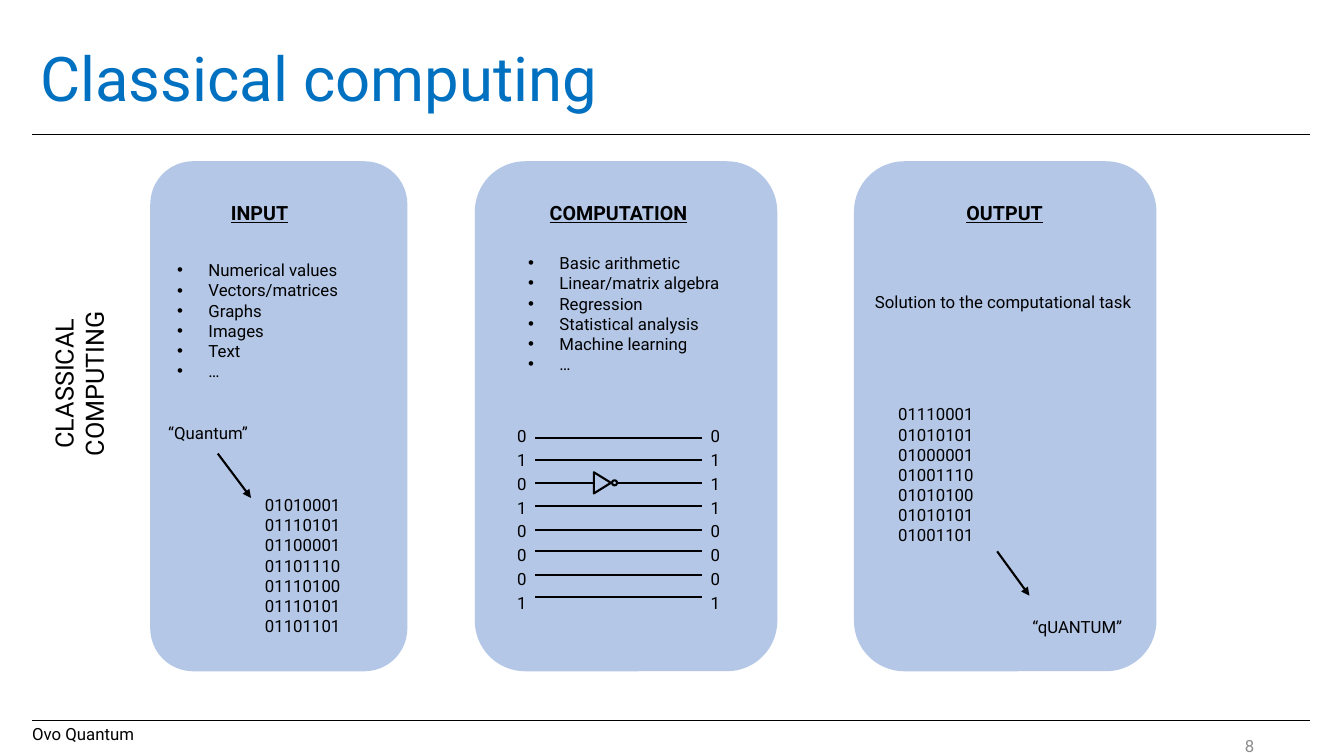
from pptx import Presentation
from pptx.dml.color import RGBColor
from pptx.enum.shapes import MSO_CONNECTOR, MSO_SHAPE
from pptx.enum.text import MSO_ANCHOR, PP_ALIGN
from pptx.oxml.ns import qn
from pptx.util import Inches, Pt
from lxml.etree import SubElement

FONT = "Roboto"
BLACK, BLUE, GREY, CARD_BLUE = "000000", "0070C0", "8C8C8C", "B4C7E7"

TITLE = "Classical computing"
FOOTER = "Ovo Quantum"
PAGE_NUMBER = "8"
SIDE_LABEL = ["CLASSICAL", "COMPUTING"]

# (heading, heading left, card left, card width)
CARDS = [
    ("INPUT", 1.66, 1.49, 2.55),
    ("COMPUTATION", 5.22, 4.71, 3),
    ("OUTPUT", 9.05, 8.47, 3),
]
INPUTS = ["Numerical values", "Vectors/matrices", "Graphs", "Images", "Text", "…"]
COMPUTATIONS = ["Basic arithmetic", "Linear/matrix algebra", "Regression",
                "Statistical analysis", "Machine learning", "…"]
RESULT = "Solution to the computational task"
INPUT_WORD, OUTPUT_WORD = "“Quantum”", "“qUANTUM”"
INPUT_BYTES = "01010001 01110101 01100001 01101110 01110100 01110101 01101101"
OUTPUT_BYTES = "01110001 01010101 01000001 01001110 01010100 01010101 01001101"
BITS_IN, BITS_OUT = "01010001", "01110001"

CARD_TOP, CARD_HEIGHT = 1.6, 5.06
WIRE_LEFT, WIRE_RIGHT = 5.31, 6.96
WIRE_YS = [4.35, 4.56, 4.79, 5.02, 5.26, 5.47, 5.7, 5.92]
GATE_ROW, GATE_LEFT, GATE_RIGHT = 2, 5.89, 6.12
GATE_BASE, GATE_HEIGHT, DOT = 0.21, 0.17, 0.05


def color(value):
    return RGBColor.from_string(value)


def write(tf, lines, size=12, fill=BLACK, bold=None, underline=None,
          align=None, spacing=None, bullet=False):
    """Fill a text frame with one paragraph per line."""
    for i, line in enumerate(lines):
        p = tf.add_paragraph() if i else tf.paragraphs[0]
        if align is not None:
            p.alignment = align
        if spacing is not None:
            p.line_spacing = spacing
        if bullet:
            pPr = p._p.get_or_add_pPr()
            pPr.set("marL", str(Inches(0.31)))
            pPr.set("indent", str(-Inches(0.31)))
            SubElement(pPr, qn("a:buFont")).set("typeface", "Arial")
            SubElement(pPr, qn("a:buChar")).set("char", "•")
        r = p.add_run()
        r.text = line
        r.font.name, r.font.size = FONT, Pt(size)
        r.font.bold, r.font.underline = bold, underline
        r.font.color.rgb = color(fill)


def add_text(s, lines, left, top, width, height, **style):
    box = s.shapes.add_textbox(*map(Inches, (left, top, width, height)))
    box.text_frame.word_wrap = True
    write(box.text_frame, lines, **style)
    return box.text_frame


def add_shape(s, kind, left, top, width, height, fill=None):
    """Add a filled shape without outline, or an outlined shape without fill."""
    sp = s.shapes.add_shape(kind, *map(Inches, (left, top, width, height)))
    sp.shadow.inherit = False
    if fill:
        sp.fill.solid()
        sp.fill.fore_color.rgb = color(fill)
        sp.line.fill.background()
    else:
        sp.fill.background()
        sp.line.color.rgb = color(BLACK)
        sp.line.width = Pt(1.5)
    return sp


def add_line(s, x1, y1, x2, y2, width=1.5, arrow=False):
    line = s.shapes.add_connector(MSO_CONNECTOR.STRAIGHT, *map(Inches, (x1, y1, x2, y2)))
    line.line.color.rgb = color(BLACK)
    line.line.width = Pt(width)
    if arrow:
        SubElement(line.line._get_or_add_ln(), qn("a:tailEnd")).set("type", "triangle")
    SubElement(line._element.spPr, qn("a:effectLst"))


def add_frame(s):
    """Add the title, the rules, the footer and the page number."""
    for y in (1.33, 7.15):
        add_line(s, 0.32, y, 12.99, y, width=0.75)
    title = s.shapes.title
    title.left, title.top, title.width, title.height = map(Inches, (0.3, 0.29, 10.18, 1.04))
    tf = title.text_frame
    tf.word_wrap = True
    tf.vertical_anchor = MSO_ANCHOR.MIDDLE
    write(tf, [TITLE], size=44, fill=BLUE, align=PP_ALIGN.LEFT, spacing=0.9)
    add_text(s, [FOOTER], 0.22, 7.13, 4.49, 0.3)
    tf = add_text(s, [PAGE_NUMBER], 12.24, 7.3, 0.2, 0.2, fill=GREY, align=PP_ALIGN.RIGHT)
    tf.margin_left = tf.margin_right = tf.margin_top = tf.margin_bottom = 0
    tf.vertical_anchor = MSO_ANCHOR.MIDDLE


def add_cards(s):
    for heading, text_left, left, width in CARDS:
        add_shape(s, MSO_SHAPE.ROUNDED_RECTANGLE, left, CARD_TOP, width,
                  CARD_HEIGHT, fill=CARD_BLUE)
        add_text(s, [heading], text_left, 1.94, 1.83, 0.35, size=14, bold=True,
                 underline=True, align=PP_ALIGN.CENTER)


def add_circuit(s):
    """Draw one wire per bit, with an inverter on the gate row."""
    for row, y in enumerate(WIRE_YS):
        if row != GATE_ROW:
            add_line(s, WIRE_LEFT, y, WIRE_RIGHT, y)
            continue
        add_line(s, WIRE_LEFT, y, GATE_LEFT, y)
        add_line(s, GATE_RIGHT, y, WIRE_RIGHT, y)
        center = GATE_LEFT + GATE_HEIGHT / 2
        gate = add_shape(s, MSO_SHAPE.ISOSCELES_TRIANGLE, center - GATE_BASE / 2,
                         y - GATE_HEIGHT / 2, GATE_BASE, GATE_HEIGHT)
        gate.rotation = 90
        add_shape(s, MSO_SHAPE.OVAL, GATE_RIGHT - DOT, y - DOT / 2, DOT, DOT)
    # The narrow boxes wrap the bits to one digit per line
    for bits, left in ((BITS_IN, 5.03), (BITS_OUT, 6.95)):
        add_text(s, [bits], left, 4.14, 0.29, 1.99, spacing=Pt(17))


def main():
    prs = Presentation()
    prs.slide_width, prs.slide_height = Inches(13.33), Inches(7.5)
    s = prs.slides.add_slide(prs.slide_layouts[5])
    add_frame(s)
    add_cards(s)

    label = add_text(s, SIDE_LABEL, 0.43, 2.79, 0.81, 2.03, size=18, align=PP_ALIGN.CENTER)
    label._txBody.bodyPr.set("vert", "vert270")

    add_text(s, INPUTS, 1.66, 2.53, 1.97, 1.31, bullet=True)
    add_text(s, [INPUT_WORD], 1.57, 4.14, 1.19, 0.3)
    add_line(s, 2.16, 4.5, 2.49, 4.94, arrow=True)
    add_text(s, [INPUT_BYTES], 2.53, 4.86, 1.07, 1.51)

    add_text(s, COMPUTATIONS, 5.14, 2.46, 2.15, 1.31, bullet=True)
    add_circuit(s)

    add_text(s, [RESULT], 8.45, 2.85, 3, 0.3, align=PP_ALIGN.CENTER)
    add_text(s, [OUTPUT_BYTES], 8.81, 3.96, 1.07, 1.51)
    add_line(s, 9.89, 5.47, 10.21, 5.91, arrow=True)
    add_text(s, [OUTPUT_WORD], 10.14, 6.07, 1.19, 0.3)

    prs.save("out.pptx")


if __name__ == "__main__":
    main()
